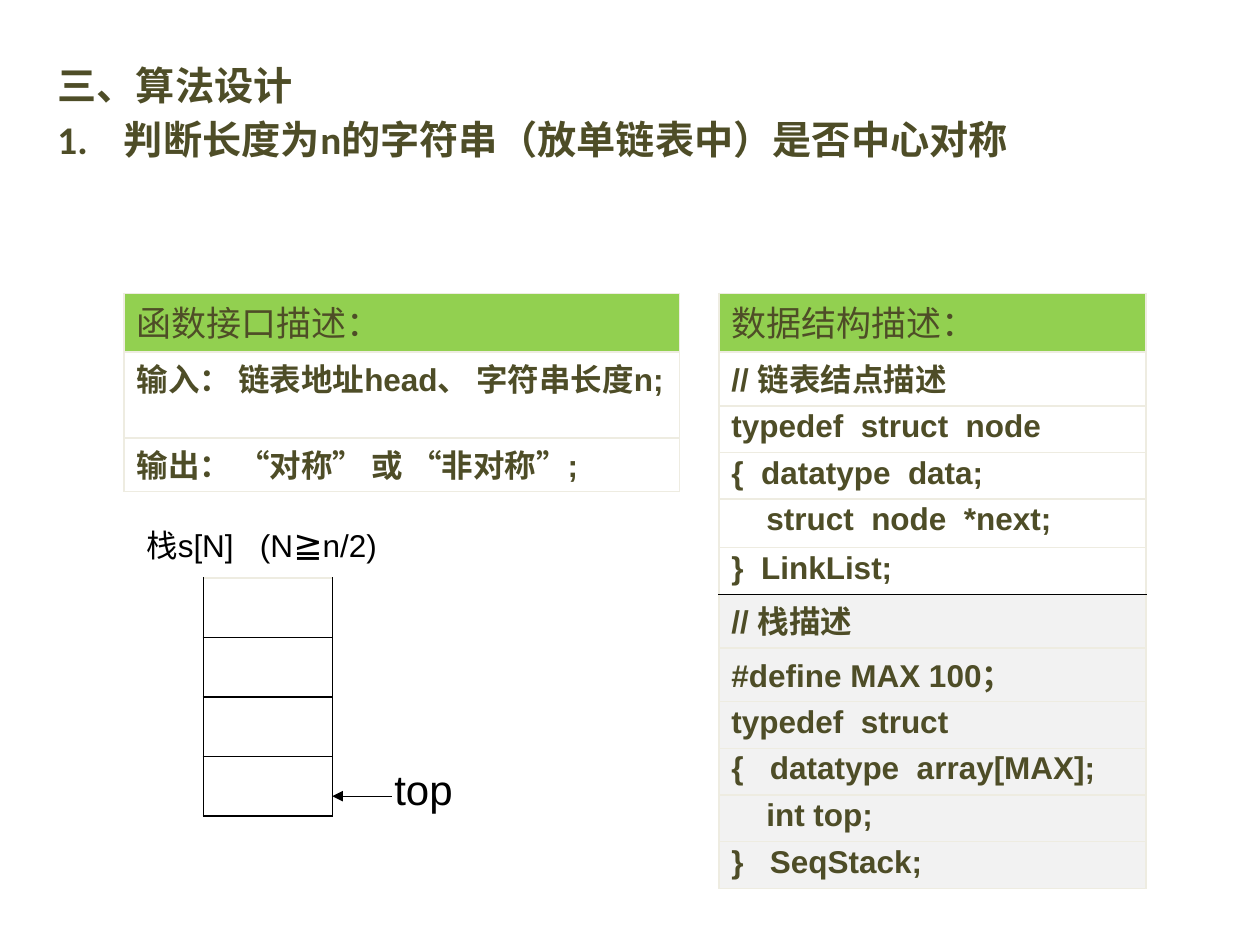
from pptx import Presentation
from pptx.dml.color import RGBColor
from pptx.enum.shapes import MSO_CONNECTOR
from pptx.oxml.ns import qn
from pptx.util import Cm, Pt
from lxml import etree

STRAIGHT = MSO_CONNECTOR.STRAIGHT
OLIVE = RGBColor(0x4E, 0x4D, 0x27)
GREEN = RGBColor(0x92, 0xD0, 0x50)
CREAM = RGBColor(0xEE, 0xEC, 0xE1)
GREY = RGBColor(0xF2, 0xF2, 0xF2)
WHITE = RGBColor(0xFF, 0xFF, 0xFF)
BLACK = RGBColor(0, 0, 0)

HEADER, CHINESE, WRAPPED, CODE = 1.18, 1.08, 1.73, 0.94

INTERFACE = [
    ("函数接口描述：", HEADER),
    ("输入： 链表地址head、 字符串长度n;", WRAPPED),
    ("输出： “对称” 或 “非对称”;", CHINESE),
]
LIST_NODE = [
    ("数据结构描述：", HEADER),
    ("// 链表结点描述", CHINESE),
    ("typedef  struct  node", CODE),
    ("{  datatype  data;", CODE),
    ("    struct  node  *next;", 0.98),
    ("}  LinkList;", CODE),
]
STACK = [
    ("// 栈描述", CHINESE),
    ("#define MAX 100；", CHINESE),
    ("typedef  struct", CODE),
    ("{   datatype  array[MAX];", CODE),
    ("    int top;", CODE),
    ("}   SeqStack;", CODE),
]


def style_font(font, name, size, color, bold=False):
    """Set the look of a paragraph or run font."""
    font.name, font.size, font.bold = name, Pt(size), bold
    font.color.rgb = color


def set_borders(cell, color, **sides):
    """Draw the four cell borders, with other colours for the named sides."""
    tcPr = cell._tc.get_or_add_tcPr()
    for side in "LRTB":
        ln = etree.SubElement(tcPr, qn(f"a:ln{side}"), w=str(Pt(1)))
        fill = etree.SubElement(ln, qn("a:solidFill"))
        etree.SubElement(fill, qn("a:srgbClr"), val=str(sides.get(side, color)))


def add_grid(slide, left, top, width, heights):
    """Add a one-column table with plain style and the given row heights."""
    frame = slide.shapes.add_table(len(heights), 1, Cm(left), Cm(top),
                                   Cm(width), Cm(sum(heights)))
    table = frame.table
    table.first_row = table.horz_banding = False
    for row, height in zip(table.rows, heights):
        row.height = Cm(height)
    return table


def add_title(slide, left, top, width, height):
    """Add the section heading and the numbered problem."""
    sp = slide.shapes.add_textbox(Cm(left), Cm(top), Cm(width), Cm(height))
    sp.fill.solid()
    sp.fill.fore_color.rgb = WHITE
    tf = sp.text_frame
    tf.word_wrap = True
    lines = ["三、算法设计", "1.\t判断长度为n的字符串（放单链表中）是否中心对称"]
    for i, line in enumerate(lines):
        p = tf.paragraphs[0] if i == 0 else tf.add_paragraph()
        p.add_run().text = line
        if i:
            p.space_before = Pt(4)
        pPr = p._p.get_or_add_pPr()
        pPr.set("marL", str(Cm(1.34)))
        pPr.set("indent", str(Cm(-1.34)))
        style_font(p.font, "Calibri", 22.4, OLIVE, True)


def add_description(slide, left, top, width, lines, shaded=()):
    """Add a description table: green header, white rows, then shaded rows."""
    rows = [*lines, *shaded]
    split = len(lines)
    table = add_grid(slide, left, top, width, [height for _, height in rows])
    for i, (text, _) in enumerate(rows):
        cell = table.cell(i, 0)
        sides = {}
        if shaded and i == split - 1:
            sides["B"] = BLACK
        elif i == split:
            sides["T"] = BLACK
        set_borders(cell, CREAM, **sides)
        cell.fill.solid()
        cell.fill.fore_color.rgb = GREEN if i == 0 else WHITE if i < split else GREY
        p = cell.text_frame.paragraphs[0]
        p.add_run().text = text
        p.line_spacing = 0.9
        style_font(p.font, "Arial", 18 if i else 20, OLIVE, i > 0)


def add_label(slide, left, top, width, height, parts):
    """Add a one-line label made of (text, size) parts."""
    sp = slide.shapes.add_textbox(Cm(left), Cm(top), Cm(width), Cm(height))
    tf = sp.text_frame
    tf.word_wrap = False
    p = tf.paragraphs[0]
    for text, size in parts:
        r = p.add_run()
        r.text = text
        style_font(r.font, "Arial", size, BLACK)


def add_stack(slide, left, top):
    """Add the stack drawing with its caption and top pointer."""
    add_label(slide, left, top, 5.31, 1.12,
              [("栈s[N]   (N", 18), ("≧", 20), ("n/2)", 18)])
    table = add_grid(slide, left + 1.4, top + 1.24, 2.6, [1.2] * 4)
    for i in range(4):
        cell = table.cell(i, 0)
        set_borders(cell, BLACK, **({} if i else {"T": CREAM}))
        cell.fill.background()
    add_label(slide, left + 5, top + 4.85, 1.68, 1.27, [("top", 24)])
    y = Cm(top + 5.64)
    arrow = slide.shapes.add_connector(STRAIGHT, Cm(left + 5.2), y,
                                       Cm(left + 4), y)
    arrow.line.color.rgb = BLACK
    arrow.line.width = Pt(0.75)
    etree.SubElement(arrow.line._get_or_add_ln(), qn("a:tailEnd"), type="triangle")
    etree.SubElement(arrow._element.spPr, qn("a:effectLst"))


def main():
    """Build the slide and save it."""
    prs = Presentation()
    prs.slide_width, prs.slide_height = Cm(25.4), Cm(19.05)
    slide = prs.slides.add_slide(prs.slide_layouts[6])
    add_title(slide, 0.91, 1.12, 21.59, 2.79)
    add_description(slide, 2.5, 5.92, 11.2, INTERFACE)
    add_description(slide, 14.49, 5.92, 8.61, LIST_NODE, STACK)
    add_stack(slide, 2.7, 10.41)
    prs.save("out.pptx")


if __name__ == "__main__":
    main()
